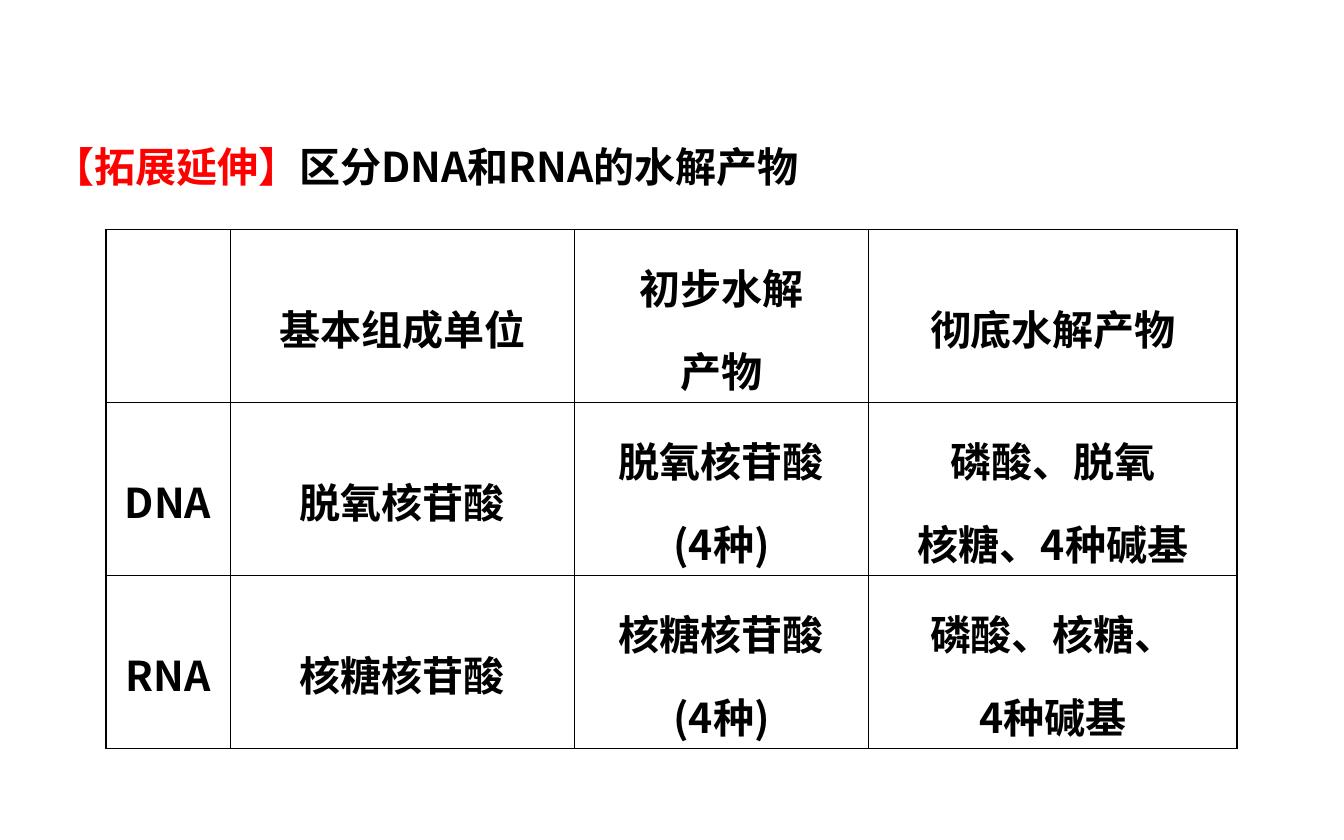
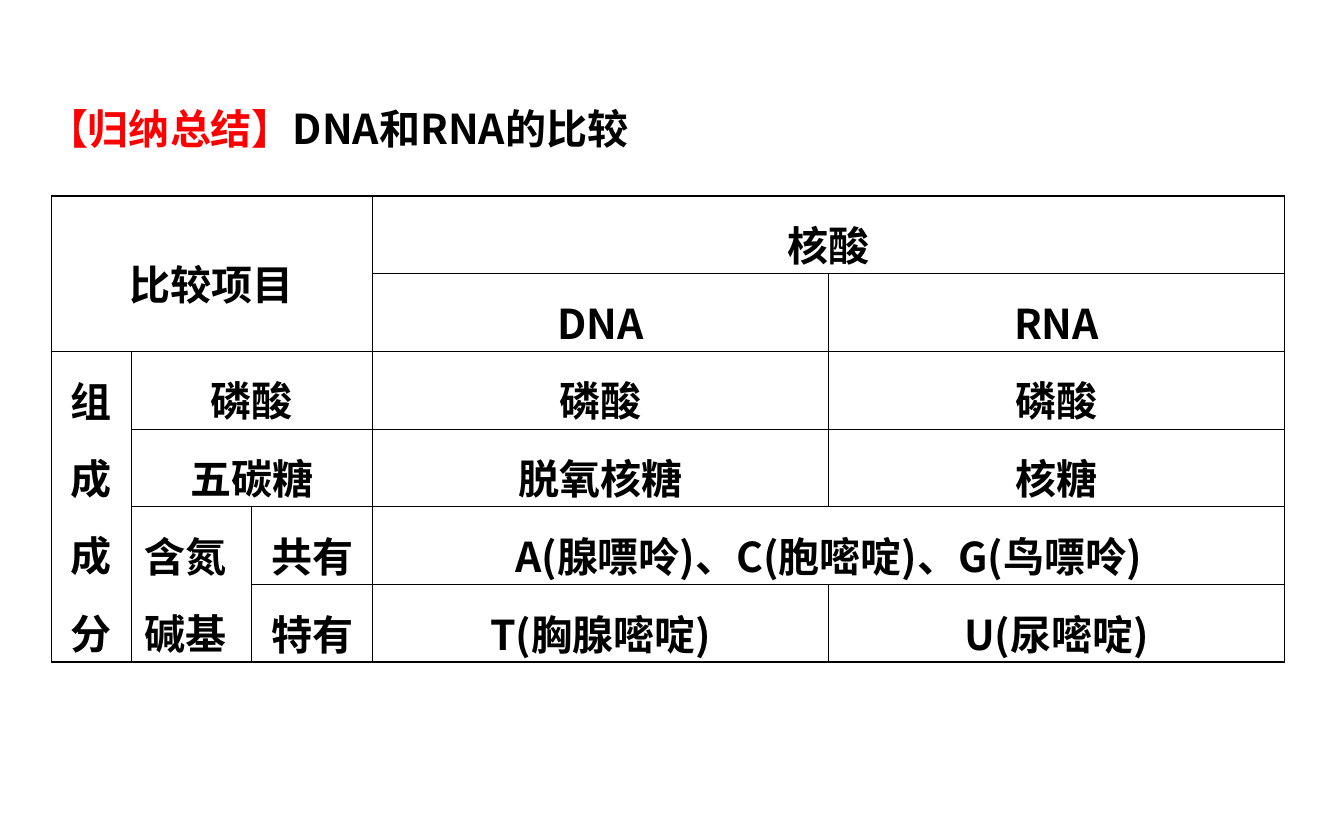
from dataclasses import dataclass

from lxml.etree import SubElement
from pptx import Presentation
from pptx.dml.color import RGBColor as RGB
from pptx.enum.text import MSO_ANCHOR as Anchor, MSO_AUTO_SIZE as Fit, PP_ALIGN as Align
from pptx.oxml import parse_xml
from pptx.oxml.ns import nsdecls, qn
from pptx.util import Cm, Pt


@dataclass(frozen=True)
class Theme:
    font: str = "Noto Sans CJK SC"
    size: float = 22
    ink: str = "000000"
    accent: str = "FF0000"
    thick: float = 0.96
    thin: float = 0.45


theme = Theme()

pages = [
    {
        "tag": "【拓展延伸】",
        "title": "区分DNA和RNA的水解产物",
        "head": (0.76, 2.08),
        "origin": (2, 4.34),
        "cols": [2.35, 6.5, 5.57, 6.96],
        "height": 3.27,
        "leading": 1.4,
        "cells": [
            ["", "基本组成单位", "初步水解\n产物", "彻底水解产物"],
            ["DNA", "脱氧核苷酸", "脱氧核苷酸\n(4种)", "磷酸、脱氧\n核糖、4种碱基"],
            ["RNA", "核糖核苷酸", "核糖核苷酸\n(4种)", "磷酸、核糖、\n4种碱基"],
        ],
        "spans": [],
        "left": [],
    },
    {
        "tag": "【归纳总结】",
        "title": "DNA和RNA的比较",
        "head": (0.64, 1.37),
        "origin": (0.97, 3.7),
        "cols": [1.51, 2.28, 2.28, 8.62, 8.62],
        "height": 1.47,
        "leading": 1.3,
        "cells": [
            ["比较项目", "", "", "核酸", ""],
            ["", "", "", "DNA", "RNA"],
            ["组成成分", "磷酸", "", "磷酸", "磷酸"],
            ["", "五碳糖", "", "脱氧核糖", "核糖"],
            ["", "含氮碱基", "共有", "A(腺嘌呤)、C(胞嘧啶)、G(鸟嘌呤)", ""],
            ["", "", "特有", "T(胸腺嘧啶)", "U(尿嘧啶)"],
        ],
        # first row, first column, last row, last column
        "spans": [(0, 0, 1, 2), (0, 3, 0, 4), (2, 0, 5, 0), (2, 1, 2, 2),
                  (3, 1, 3, 2), (4, 1, 5, 1), (4, 3, 4, 4)],
        "left": ["含氮碱基"],
    },
]


def style(run, color):
    """Set the shared typeface, for Latin and Chinese letters, and a colour."""
    font = run.font
    font.name, font.size, font.bold = theme.font, Pt(theme.size), True
    font.color.rgb = RGB.from_string(color)
    SubElement(run._r.get_or_add_rPr(), qn("a:ea"), typeface=theme.font)


def border(cell, outer):
    """Draw all four sides; outer tells which lie on the table's rim."""
    props = cell._tc.get_or_add_tcPr()
    for spot, (side, rim) in enumerate(zip("LRTB", outer)):
        width = Pt(theme.thick if rim else theme.thin)
        props.insert(spot, parse_xml(
            f'<a:ln{side} {nsdecls("a")} w="{width}"><a:solidFill>'
            f'<a:srgbClr val="{theme.ink}"/></a:solidFill></a:ln{side}>'))


deck = Presentation()
deck.slide_width, deck.slide_height = Cm(25.4), Cm(15.88)

for page in pages:
    slide = deck.slides.add_slide(deck.slide_layouts[6])

    x, y = page["head"]
    frame = slide.shapes.add_textbox(Cm(x), Cm(y), Cm(23.95), Cm(1.65)).text_frame
    frame.word_wrap = True
    frame.auto_size = Fit.SHAPE_TO_FIT_TEXT
    para = frame.paragraphs[0]
    para.line_spacing = 1.5
    for text, color in ((page["tag"], theme.accent), (page["title"], theme.ink)):
        run = para.add_run()
        run.text = text
        style(run, color)

    cells, cols = page["cells"], page["cols"]
    x, y = page["origin"]
    table = slide.shapes.add_table(
        len(cells), len(cols), Cm(x), Cm(y),
        Cm(sum(cols)), Cm(page["height"] * len(cells))).table
    table.first_row = table.horz_banding = False
    for col, width in zip(table.columns, cols):
        col.width = Cm(width)
    for row in table.rows:
        row.height = Cm(page["height"])
    for top, left, bottom, right in page["spans"]:
        table.cell(top, left).merge(table.cell(bottom, right))

    for r, line in enumerate(cells):
        for c, text in enumerate(line):
            cell = table.cell(r, c)
            cell.fill.background()
            deep = cell.span_height if cell.is_merge_origin else 1
            wide = cell.span_width if cell.is_merge_origin else 1
            border(cell, (c == 0, c + wide == len(cols),
                          r == 0, r + deep == len(cells)))
            cell.vertical_anchor = Anchor.MIDDLE
            cell.margin_top = cell.margin_bottom = 0
            if not text:
                continue
            cell.text_frame.text = text
            for para in cell.text_frame.paragraphs:
                para.alignment = Align.LEFT if text in page["left"] else Align.CENTER
                para.line_spacing = page["leading"]
                for run in para.runs:
                    style(run, theme.ink)

deck.save("out.pptx")
